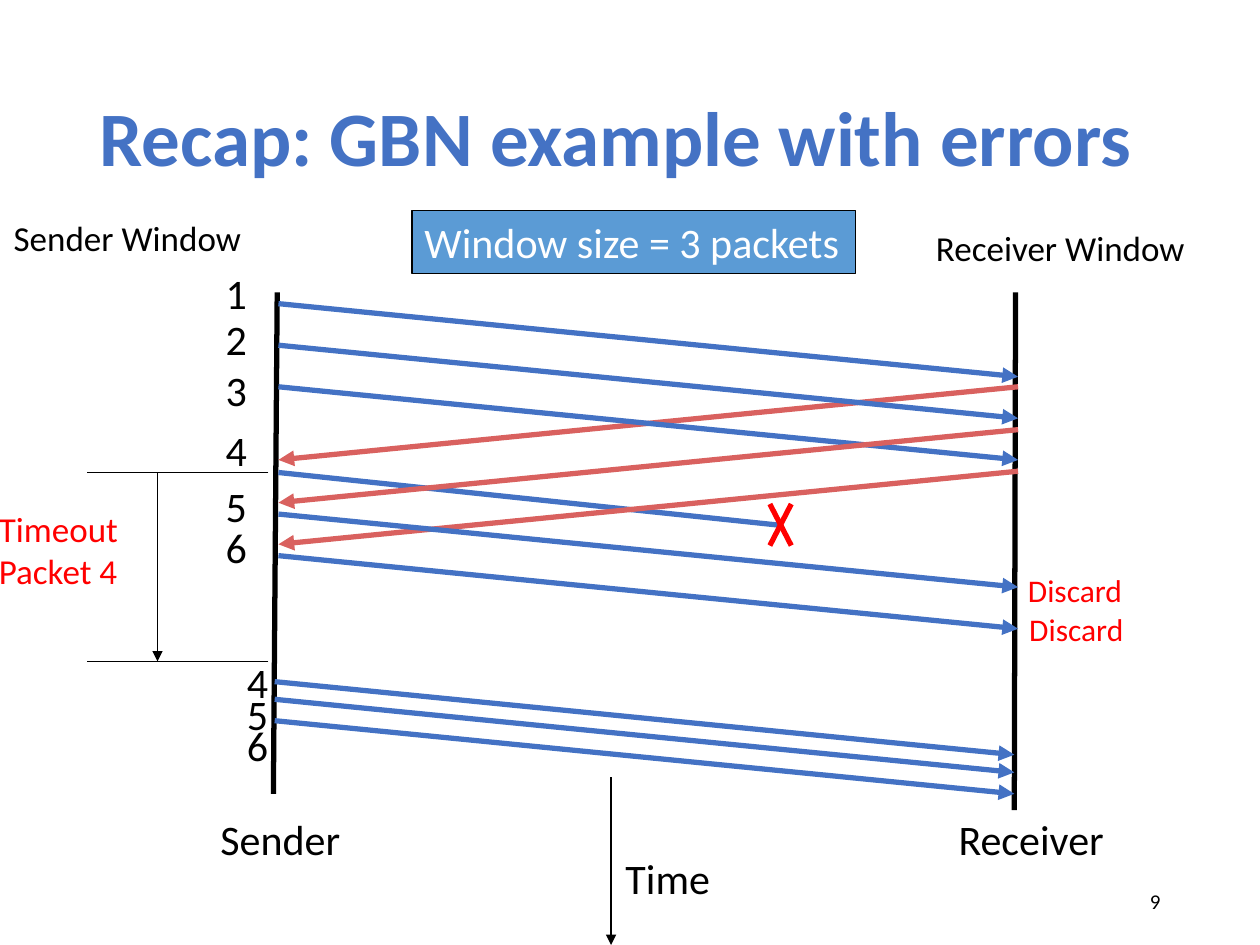
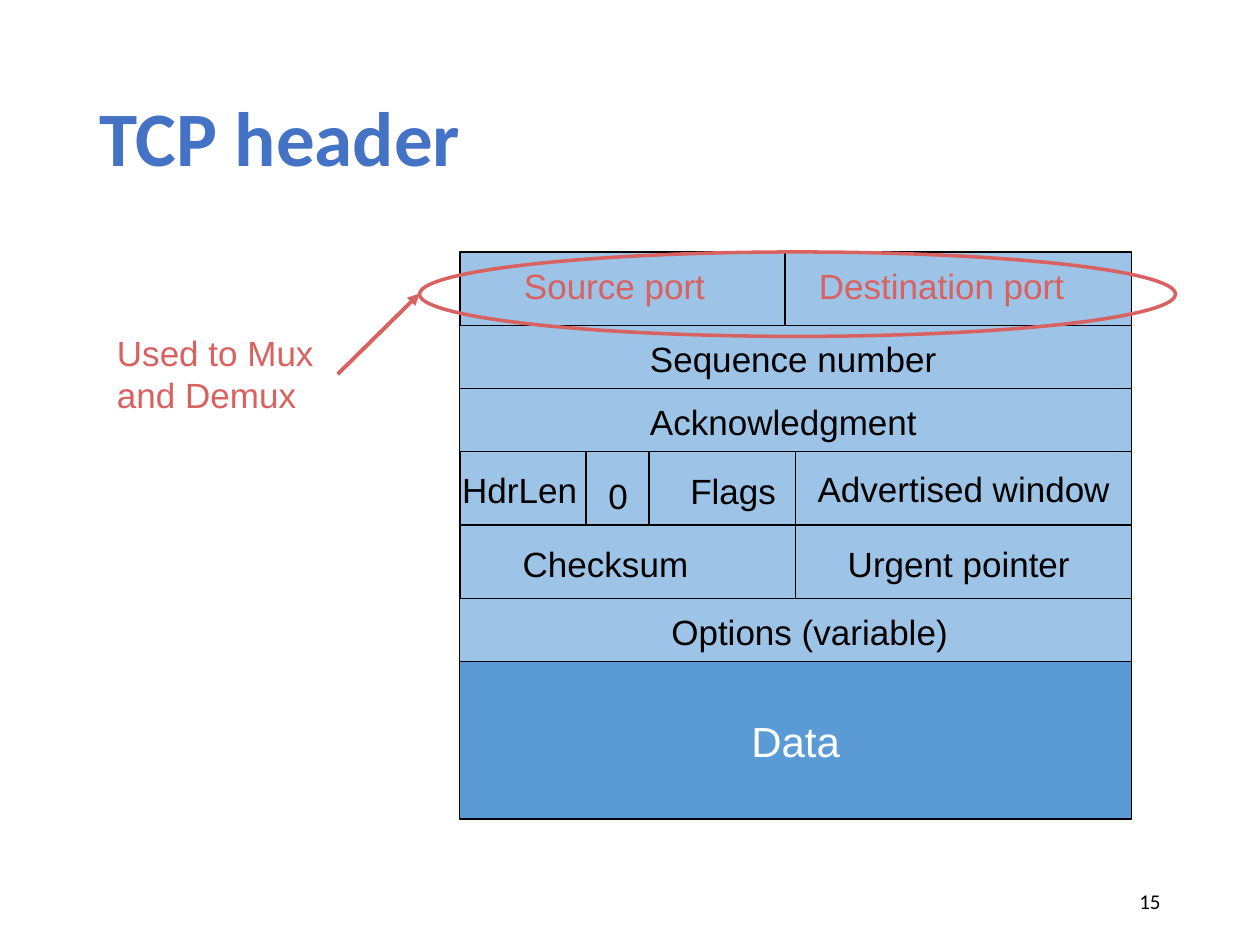
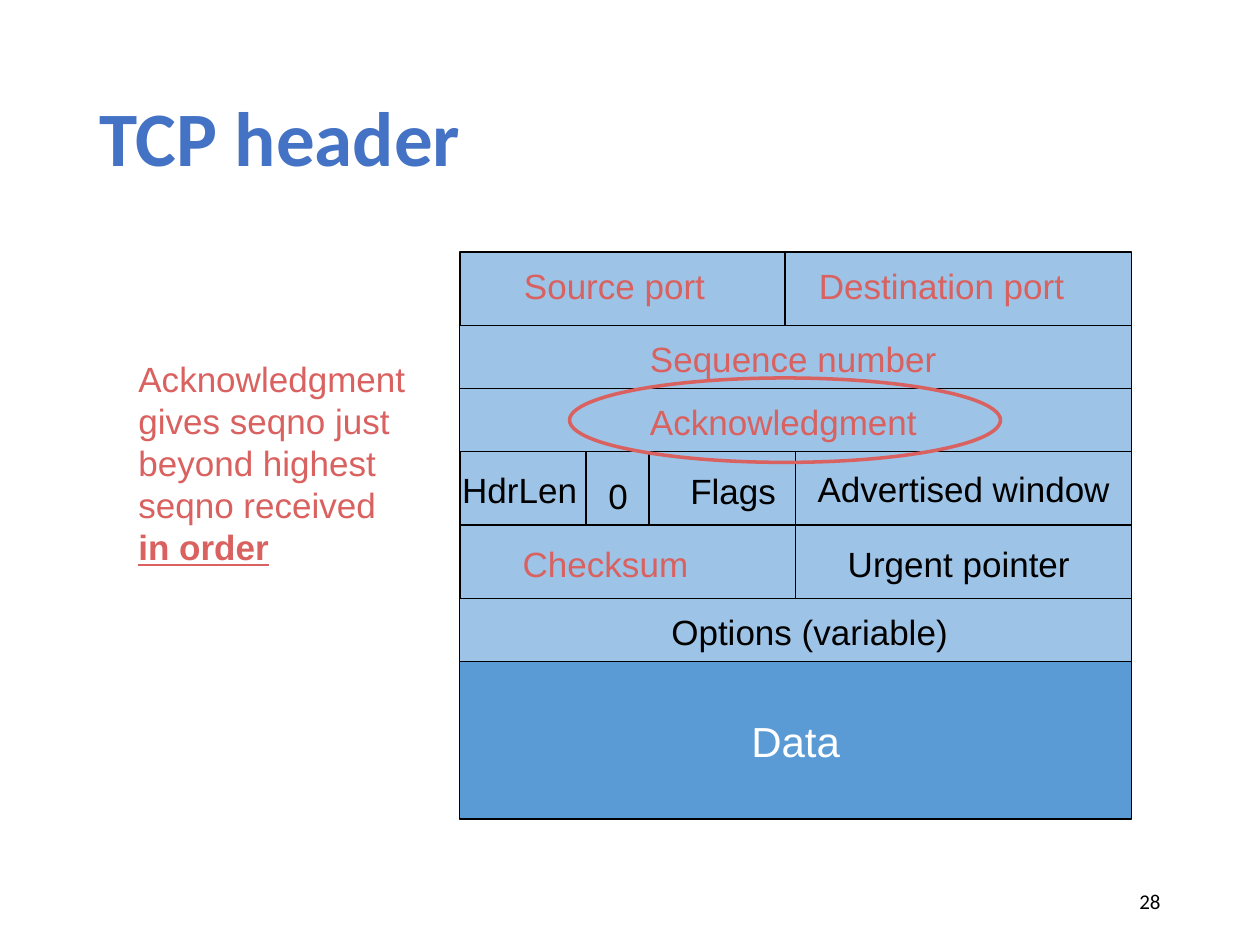
"""Build three slides on a Go-Back-N example and the TCP header."""
from lxml.etree import SubElement
from pptx import Presentation
from pptx.dml.color import RGBColor
from pptx.enum.shapes import MSO_CONNECTOR, MSO_SHAPE
from pptx.enum.text import MSO_ANCHOR, MSO_AUTO_SIZE, PP_ALIGN
from pptx.oxml.ns import qn
from pptx.util import Inches, Pt

BLACK, WHITE, RED = "000000", "FFFFFF", "FF0000"
BLUE, CORAL = "4472C4", "D9615F"
PALE, MID = "9DC3E6", "5B9BD5"
LEFT, CENTER, RIGHT = PP_ALIGN.LEFT, PP_ALIGN.CENTER, PP_ALIGN.RIGHT
TOP, MIDDLE = MSO_ANCHOR.TOP, MSO_ANCHOR.MIDDLE


def add_box(page, text, place, kind=None, fill=None, line=None, weight=0.75,
            size=20, font="Calibri", color=BLACK, bold=False, align=LEFT,
            anchor=TOP, wrap=False, grow=True, inset=(0.1, 0.05),
            before=0, spacing=None, emphasis=""):
    place = [Inches(length) for length in place]
    if kind is None:
        box = page.shapes.add_textbox(*place)
    else:
        box = page.shapes.add_shape(kind, *place)
        box.shadow.inherit = False
    if fill:
        box.fill.solid()
        box.fill.fore_color.rgb = RGBColor.from_string(fill)
    else:
        box.fill.background()
    if line:
        box.line.color.rgb = RGBColor.from_string(line)
        box.line.width = Pt(weight)
    else:
        box.line.fill.background()
    if not text:
        return
    frame = box.text_frame
    frame.word_wrap = wrap
    frame.auto_size = MSO_AUTO_SIZE.SHAPE_TO_FIT_TEXT if grow else MSO_AUTO_SIZE.NONE
    frame.vertical_anchor = anchor
    frame.margin_left = frame.margin_right = Inches(inset[0])
    frame.margin_top = frame.margin_bottom = Inches(inset[1])
    for index, words in enumerate(text.split("\n")):
        para = frame.add_paragraph() if index else frame.paragraphs[0]
        para.alignment = align
        para.space_before = Pt(before)
        para.line_spacing = spacing
        for part in filter(None, (words, emphasis)):
            span = para.add_run()
            span.text = part
            span.font.name = font
            span.font.size = Pt(size)
            span.font.color.rgb = RGBColor.from_string(color)
            span.font.bold = bold or part == emphasis
            span.font.underline = part == emphasis


def add_line(page, start, end, color=BLACK, weight=0.75, arrow=False):
    points = [Inches(length) for length in (*start, *end)]
    line = page.shapes.add_connector(MSO_CONNECTOR.STRAIGHT, *points)
    line.line.color.rgb = RGBColor.from_string(color)
    line.line.width = Pt(weight)
    if arrow:
        SubElement(line.line._get_or_add_ln(), qn("a:tailEnd"), type="triangle")
    SubElement(line._element.spPr, qn("a:effectLst"))


deck = Presentation()
deck.slide_width, deck.slide_height = Inches(10), Inches(7.5)
pages = []
for title, number in (("Recap: GBN example with errors", "9"),
                      ("TCP header", "15"), ("TCP header", "28")):
    page = deck.slides.add_slide(deck.slide_layouts[6])
    add_box(page, title, (0.69, 0.4, 8.62, 1.45), size=44, color=BLUE, bold=True,
            anchor=MIDDLE, wrap=True, grow=False, spacing=0.9)
    add_box(page, number, (7.06, 6.95, 2.25, 0.4), size=12, align=RIGHT,
            anchor=MIDDLE, wrap=True, grow=False)
    pages.append(page)
gbn_page, ports_page, ack_page = pages

add_line(gbn_page, (4.85, 6.17), (4.85, 7.5), weight=1, arrow=True)
for text, place in (("Time", (4.83, 6.72, 0.94, 0.5)),
                    ("Sender", (1.58, 6.41, 1.29, 0.5)),
                    ("Receiver", (7.42, 6.41, 1.53, 0.5))):
    add_box(gbn_page, text, place, size=24, align=CENTER, anchor=MIDDLE, before=4.8)
add_box(gbn_page, "Window size = 3 packets", (3.27, 1.67, 3.52, 0.5),
        kind=MSO_SHAPE.RECTANGLE, fill=MID, line=BLACK, size=24, color=WHITE)
add_line(gbn_page, (2.2, 2.32), (2.17, 6.3), weight=3)
add_line(gbn_page, (8.06, 2.32), (8.05, 6.43), weight=3)
add_box(gbn_page, "Sender Window", (0.01, 1.67, 2.28, 0.43))
add_box(gbn_page, "Receiver Window", (7.33, 1.75, 2.5, 0.43))

sender, receiver, resend_shift, delay = 2.21, 8.08, -0.03, 0.58
add_line(gbn_page, (sender, 2.41), (receiver, 2.41 + delay), BLUE, 3, True)
add_line(gbn_page, (receiver, 3.07), (sender, 3.07 + delay), CORAL, 3, True)
add_line(gbn_page, (sender, 3.75), (6.2, 4.17), BLUE, 3)
for top in (2.74, 3.07):
    add_line(gbn_page, (sender, top), (receiver, top + delay), BLUE, 3, True)
for top in (3.41, 3.74):
    add_line(gbn_page, (receiver, top), (sender, top + delay), CORAL, 3, True)
for top in (4.08, 4.41):
    add_line(gbn_page, (sender, top), (receiver, top + delay), BLUE, 3, True)
for top in (5.41, 5.55, 5.72):
    add_line(gbn_page, (sender + resend_shift, top),
             (receiver + resend_shift, top + delay), BLUE, 3, True)
for start, end in ((6.11, 6.28), (6.28, 6.11)):
    add_line(gbn_page, (start, 4), (end, 4.33), RED, 3)

for left, numbers, tops in ((1.7, "123456", (2.08, 2.45, 2.85, 3.33, 3.77, 4.1)),
                            (1.87, "456", (5.17, 5.42, 5.67))):
    for number, top in zip(numbers, tops):
        add_box(gbn_page, number, (left, top, 0.37, 0.49), size=24, inset=(0.09, 0.04))

for top in (3.75, 5.25):
    add_line(gbn_page, (2.13, top), (0.69, top))
add_line(gbn_page, (1.25, 3.75), (1.25, 5.25), arrow=True)
add_box(gbn_page, "Timeout\nPacket 4", (-0.1, 3.99, 1.32, 0.75), color=RED,
        inset=(0.09, 0.04))
for left, top in ((8.06, 4.48), (8.07, 4.79)):
    add_box(gbn_page, "Discard", (left, top, 1.02, 0.37), size=18, color=RED)

header_left, header_top, header_width = 3.65, 2, 5.33
half, low, tall = header_width / 2, 0.5, 7 / 12
rows = [(tall, (2.58, 2.75)), (low, (header_width,)), (low, (header_width,)),
        (tall, (half, half)), (tall, (half, half)), (low, (header_width,))]
labels = [("Source port", 4.06, 2.05, 1.68), ("Destination port", 6.4, 2.05, 2.19),
          ("Sequence number", 5.06, 2.63, 2.51), ("Acknowledgment", 5.06, 3.13, 2.36),
          ("Advertised window", 6.39, 3.66, 2.56), ("Flags", 5.38, 3.68, 0.92),
          ("0", 4.73, 3.72, 0.4), ("Checksum", 4.05, 4.26, 1.55),
          ("Urgent pointer", 6.63, 4.26, 2), ("Options (variable)", 5.23, 4.8, 2.43)]
ports = {"Source port", "Destination port"}
covered = ports | {"Sequence number", "Acknowledgment", "Checksum"}

for page, marked in ((ports_page, ports), (ack_page, covered)):
    top = header_top
    for height, widths in rows:
        left = header_left
        for width in widths:
            add_box(page, "", (left, top, width, height), kind=MSO_SHAPE.RECTANGLE,
                    fill=PALE, line=BLACK)
            left += width
        top += height
    add_box(page, "Data", (header_left, top, header_width, 1.25),
            kind=MSO_SHAPE.RECTANGLE, fill=MID, line=BLACK, size=24, font="Arial",
            color=WHITE, align=CENTER, anchor=MIDDLE, grow=False)
    add_box(page, "HdrLen", (3.57, 3.67, 1.17, 0.43), font="Arial", wrap=True)
    for left in (4.65, 5.15):
        add_line(page, (left, 3.58), (left, 4.17))
    for text, left, label_top, width in labels:
        add_box(page, text, (left, label_top, width, 0.43), kind=MSO_SHAPE.RECTANGLE,
                fill=PALE, font="Arial", color=CORAL if text in marked else BLACK)

for page, place in ((ports_page, (3.33, 2, 6, 0.67)), (ack_page, (4.52, 3, 3.42, 0.67))):
    add_box(page, "", place, kind=MSO_SHAPE.OVAL, line=CORAL, weight=2)
add_box(ports_page, "Used to Mux\nand Demux", (0.83, 2.58, 1.77, 0.77),
        font="Arial", color=CORAL)
add_line(ports_page, (2.68, 2.97), (3.33, 2.33), CORAL, 2.25, True)
add_box(ack_page, "Acknowledgment gives seqno just beyond highest seqno received ",
        (1, 2.79, 2.33, 1.78), font="Arial", color=CORAL, wrap=True, emphasis="in order")

deck.save("out.pptx")
